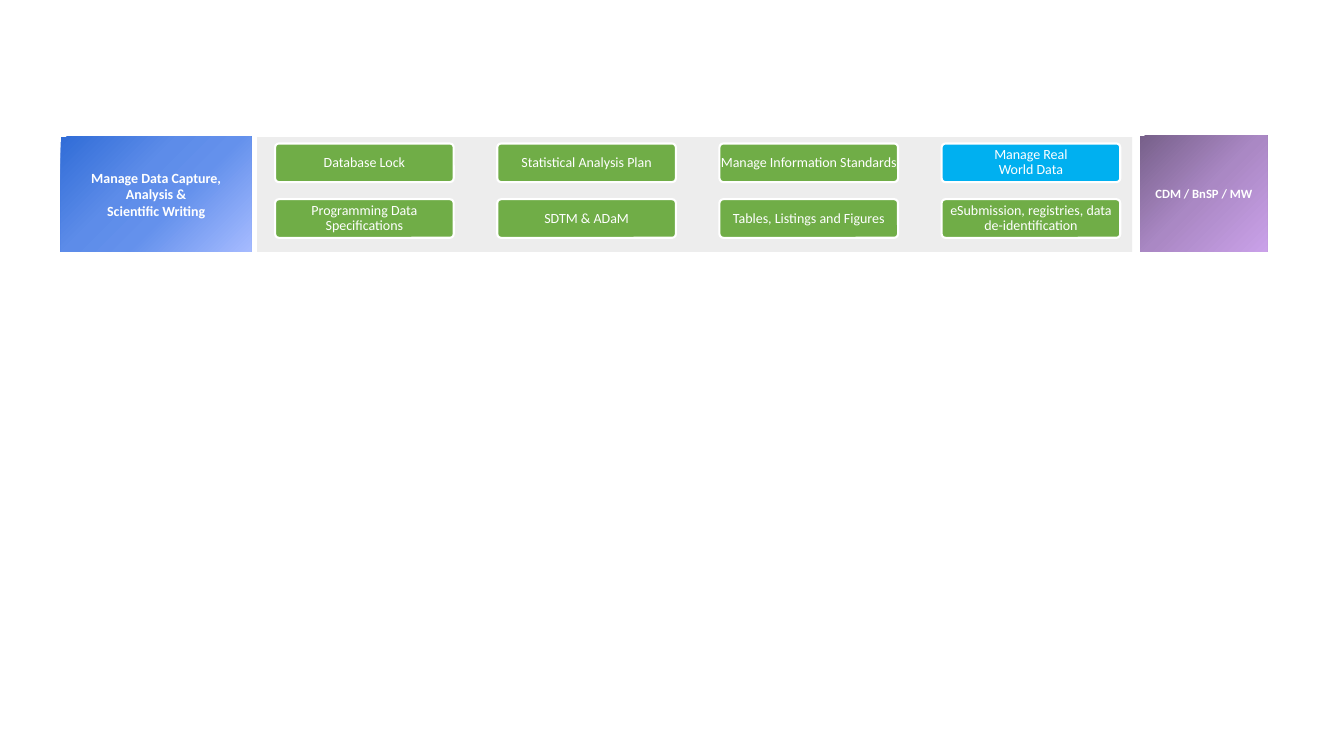
from lxml.etree import SubElement
from pptx import Presentation
from pptx.dml.color import RGBColor
from pptx.enum.shapes import MSO_SHAPE
from pptx.enum.text import MSO_ANCHOR, PP_ALIGN
from pptx.oxml.ns import qn
from pptx.util import Pt

COLORS = {
    "band": "EDEDED",
    "activity": "70AD47",
    "highlight": "00B0F0",
    "white": "FFFFFF",
}
BLUE_STOPS = [(0, "316DD7"), (39, "5D8CE9"), (59, "6491EC"), (100, "A6BBFF")]
PURPLE_STOPS = [(0, "77608A"), (50, "AA88C4"), (100, "CAA1E9")]

PROCESS = ["Manage Data Capture, Analysis &", "Scientific Writing"]
TEAMS = ["CDM / BnSP / MW"]
ACTIVITIES = [
    [
        (["Database Lock"], "activity"),
        (["Statistical Analysis Plan"], "activity"),
        (["Manage Information Standards"], "activity"),
        (["Manage Real", "World Data"], "highlight"),
    ],
    [
        (["Programming Data Specifications"], "activity"),
        (["SDTM & ADaM"], "activity"),
        (["Tables, Listings and Figures"], "activity"),
        (["eSubmission, registries, data de-identification"], "activity"),
    ],
]

GRID_LEFT, GRID_TOP = 196.5, 102.5
COLUMN_STEP, ROW_STEP = 158.7, 39.8
BOX_WIDTH, BOX_HEIGHT = 127.6, 27.6
CORNER_RATIO = 0.1
LONGEST_SINGLE_LINE = 30


def color(name):
    return RGBColor.from_string(COLORS[name])


def add_box(slide, kind, left, top, width, height, fill=None):
    shape = slide.shapes.add_shape(kind, Pt(left), Pt(top), Pt(width), Pt(height))
    shape.shadow.inherit = False
    shape.line.fill.background()
    if fill:
        shape.fill.solid()
        shape.fill.fore_color.rgb = color(fill)
    return shape


def set_gradient(shape, stops):
    shape.fill.gradient()
    shape.fill.gradient_angle = 315
    stop_list = shape.element.spPr.find(qn("a:gradFill")).find(qn("a:gsLst"))
    for stop in list(stop_list):
        stop_list.remove(stop)
    for percent, value in stops:
        stop = SubElement(stop_list, qn("a:gs"), pos=str(percent * 1000))
        SubElement(stop, qn("a:srgbClr"), val=value)


def write(shape, lines, size, bold=False, spacing=1.0, inset=0):
    frame = shape.text_frame
    frame.word_wrap = True
    frame.vertical_anchor = MSO_ANCHOR.MIDDLE
    frame.margin_left = frame.margin_right = Pt(inset)
    frame.margin_top = frame.margin_bottom = Pt(inset / 2)
    frame.text = "\n".join(lines)
    for paragraph in frame.paragraphs:
        paragraph.alignment = PP_ALIGN.CENTER
        paragraph.line_spacing = spacing
        paragraph.font.name = "Calibri"
        paragraph.font.size = Pt(size)
        paragraph.font.bold = bold
        paragraph.font.color.rgb = color("white")


def add_activity(slide, row, column, lines, fill):
    left = GRID_LEFT + column * COLUMN_STEP
    top = GRID_TOP + row * ROW_STEP
    shape = add_box(slide, MSO_SHAPE.ROUNDED_RECTANGLE, left, top, BOX_WIDTH, BOX_HEIGHT, fill)
    shape.adjustments[0] = CORNER_RATIO
    shape.line.color.rgb = color("white")
    shape.line.width = Pt(1.5)
    write(shape, lines, 10, spacing=0.9)
    shape.text_frame.word_wrap = len(lines[0]) > LONGEST_SINGLE_LINE


def main():
    presentation = Presentation()
    presentation.slide_width = Pt(960)
    presentation.slide_height = Pt(540)
    slide = presentation.slides.add_slide(presentation.slide_layouts[6])

    add_box(slide, MSO_SHAPE.RECTANGLE, 183.6, 97.9, 625, 82, "band")

    process = add_box(slide, MSO_SHAPE.RECTANGLE, 43.4, 97.7, 136.3, 82.2)
    set_gradient(process, BLUE_STOPS)
    write(process, PROCESS, 10, bold=True, inset=7.2)

    teams = add_box(slide, MSO_SHAPE.RECTANGLE, 814.4, 97, 91, 82.8)
    set_gradient(teams, PURPLE_STOPS)
    write(teams, TEAMS, 9, bold=True)

    for row, activities in enumerate(ACTIVITIES):
        for column, (lines, fill) in enumerate(activities):
            add_activity(slide, row, column, lines, fill)

    presentation.save("out.pptx")


if __name__ == "__main__":
    main()
